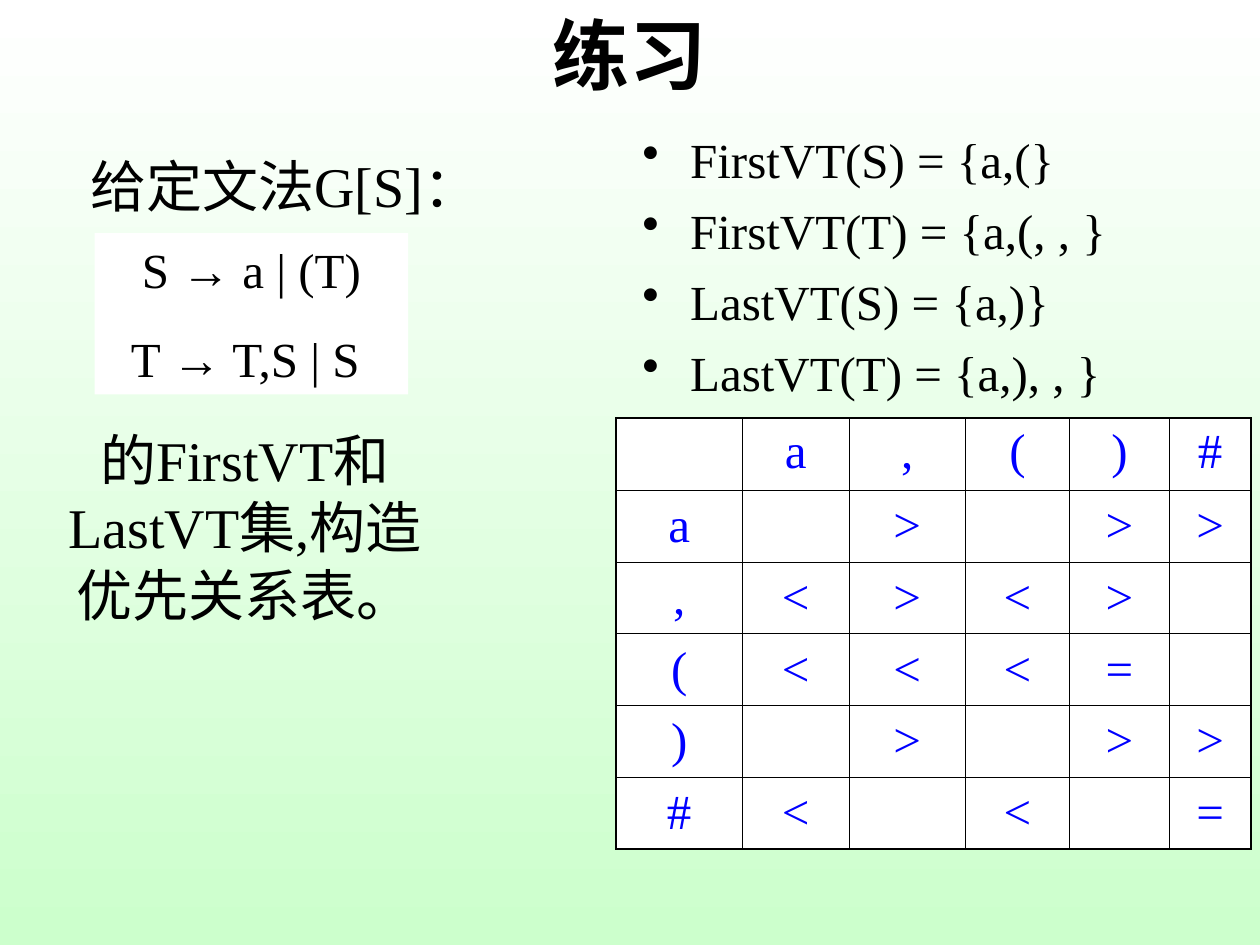
from lxml import etree
from pptx import Presentation
from pptx.dml.color import RGBColor
from pptx.enum.shapes import MSO_SHAPE
from pptx.enum.text import MSO_ANCHOR, PP_ALIGN
from pptx.oxml.ns import qn
from pptx.util import Inches, Pt

TOP, MIDDLE = MSO_ANCHOR.TOP, MSO_ANCHOR.MIDDLE
LEFT, CENTER = PP_ALIGN.LEFT, PP_ALIGN.CENTER
RECTANGLE = MSO_SHAPE.RECTANGLE

SERIF, SANS, CJK = "Times New Roman", "Arial", "Noto Sans CJK SC"
BLACK, BLUE, WHITE, MINT = "000000", "0000FF", "FFFFFF", "CCFFCC"
ARROW = "→"
THICK, THIN = 1.08, 0.45

VT_SETS = ["FirstVT(S) = {a,(}", "FirstVT(T) = {a,(, , }",
           "LastVT(S) = {a,)}", "LastVT(T) = {a,), , }"]
GRAMMAR = ["S → a | (T)", "T → T,S | S "]

# Precedence relations: one string per row, a space is an empty cell
TERMINALS = "a,()#"
RELATIONS = [" > >>", "<><> ", "<<<= ", " > >>", "< < ="]
COLUMN_WIDTHS = [1, 0.85, 0.92, 0.83, 0.79, 0.65]
ROW_HEIGHT = 0.57


def color(hex_value):
    return RGBColor.from_string(hex_value)


def box_of(*lengths):
    return [Inches(length) for length in lengths]


def add_run(paragraph, text, size, font, ink, bold):
    run = paragraph.add_run()
    run.text = text
    run.font.size = Pt(size)
    run.font.name = font
    run.font.bold = bold
    run.font.color.rgb = color(ink)
    etree.SubElement(run.font._element, qn("a:ea"), typeface=CJK)


def add_bullet(paragraph, indent=0.38):
    properties = paragraph._p.get_or_add_pPr()
    properties.set("marL", str(Inches(indent)))
    properties.set("indent", str(-Inches(indent)))
    etree.SubElement(properties, qn("a:buChar"), char="•")


def write(frame, lines, size=28, font=SERIF, ink=BLACK, bold=False,
          align=CENTER, before=7, anchor=TOP, bullet=False):
    """Fill a text frame with paragraphs; arrows get the sans font."""
    frame.word_wrap = True
    frame.vertical_anchor = anchor
    for index, line in enumerate(lines):
        paragraph = frame.add_paragraph() if index else frame.paragraphs[0]
        paragraph.alignment = align
        paragraph.space_before = Pt(before)
        if bullet:
            add_bullet(paragraph)
        head, arrow, tail = line.partition(ARROW)
        for part, part_font in ((head, font), (arrow, SANS), (tail, font)):
            if part:
                add_run(paragraph, part, size, part_font, ink, bold)


def add_text(slide, box, lines, **text_format):
    write(slide.shapes.add_textbox(*box_of(*box)).text_frame, lines, **text_format)


def add_panel(slide, box, lines, **text_format):
    panel = slide.shapes.add_shape(RECTANGLE, *box_of(*box))
    panel.shadow.inherit = False
    panel.fill.solid()
    panel.fill.fore_color.rgb = color(WHITE)
    panel.line.fill.background()
    write(panel.text_frame, lines, **text_format)


def add_borders(cell, widths):
    """Draw cell borders; widths are in points for left, right, top, bottom."""
    properties = cell._tc.get_or_add_tcPr()
    for side, width in zip("LRTB", widths):
        line = etree.SubElement(properties, qn(f"a:ln{side}"), w=str(Pt(width)))
        fill = etree.SubElement(line, qn("a:solidFill"))
        etree.SubElement(fill, qn("a:srgbClr"), val=BLACK)


def add_precedence_table(slide, left, top):
    rows = [" " + TERMINALS]
    rows += [name + marks for name, marks in zip(TERMINALS, RELATIONS)]
    last = len(rows) - 1
    box = box_of(left, top, sum(COLUMN_WIDTHS), ROW_HEIGHT * len(rows))
    table = slide.shapes.add_table(len(rows), len(COLUMN_WIDTHS), *box).table
    table.first_row = table.horz_banding = False
    for column, width in zip(table.columns, COLUMN_WIDTHS):
        column.width = Inches(width)
    for r, symbols in enumerate(rows):
        table.rows[r].height = Inches(ROW_HEIGHT)
        for c, symbol in enumerate(symbols):
            cell = table.cell(r, c)
            on_edge = (c == 0, c == last, r == 0, r == last)
            add_borders(cell, [THICK if edge else THIN for edge in on_edge])
            cell.fill.solid()
            cell.fill.fore_color.rgb = color(WHITE)
            if symbol != " ":
                write(cell.text_frame, [symbol], ink=BLUE)
                cell.vertical_anchor = MIDDLE if r else TOP


def paint_background(slide):
    fill = slide.background.fill
    fill.gradient()
    fill.gradient_angle = 270
    for stop, shade, position in zip(fill.gradient_stops, (WHITE, MINT), (0, 1)):
        stop.color.rgb = color(shade)
        stop.position = position


def main():
    deck = Presentation()
    deck.slide_width, deck.slide_height = box_of(10, 7.5)
    slide = deck.slides.add_slide(deck.slide_layouts[6])
    paint_background(slide)

    # Title
    add_text(slide, (0.75, 0, 8.5, 0.86), ["练习"], size=44, font=CJK,
             bold=True, before=0, anchor=MIDDLE)

    # FirstVT and LastVT sets
    add_text(slide, (5, 0.98, 4.64, 2.33), VT_SETS, align=LEFT, bullet=True)

    # Exercise and its grammar
    add_text(slide, (0.33, 3.33, 3.23, 1.86),
             ["的FirstVT和LastVT集,构造优先关系表。"], size=32, before=8)
    add_text(slide, (0.48, 1.15, 3.56, 0.64), ["给定文法G[S]："], size=32, before=20)
    add_panel(slide, (0.75, 1.85, 2.49, 1.28), GRAMMAR, before=17.5)

    # Precedence relation table
    add_precedence_table(slide, 4.89, 3.32)

    deck.save("out.pptx")


if __name__ == "__main__":
    main()
